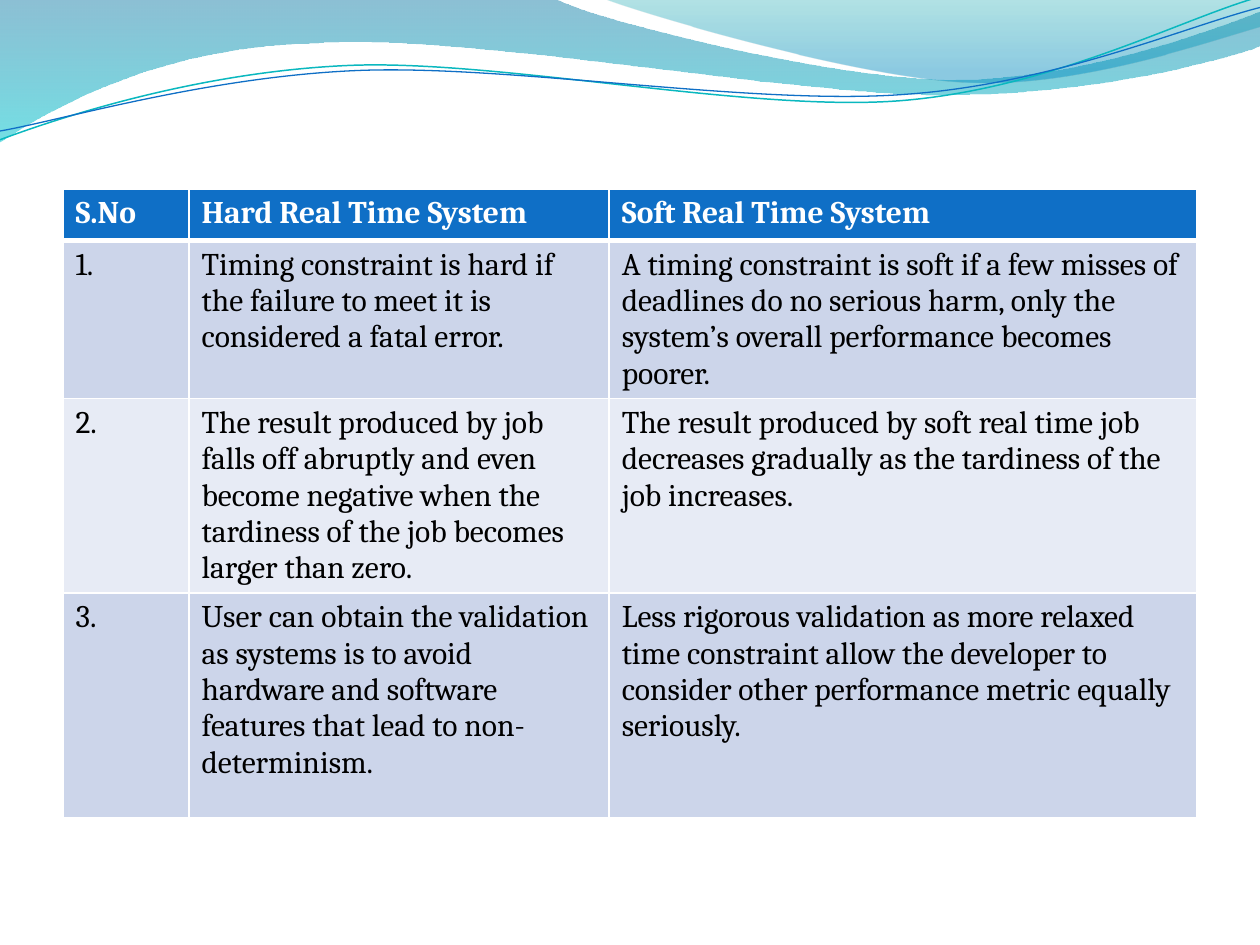
import math
import pptx
import pptx.util
import pptx.dml.color
import pptx.oxml
import pptx.oxml.ns

INCH = 2.54   # wave points are in inches
GRID = 1000   # local freeform units per inch
TILT = -2.7   # turn of the two thin curves, in degrees

# Each wave: a start point, then line ends (2 values) or curves (6 values)
BACK = [(0, 0), (4.4, -0.01), (4.76, 0.17, 6.64, 0.63, 7.58, 0.63),
        (8.53, 0.63, 9.58, 0.26, 10, 0.09), (10.01, 0.36),
        (9.83, 0.44, 8.7, 0.76, 7.46, 0.75),
        (6.22, 0.75, 3.82, 0.28, 2.57, 0.34),
        (1.29, 0.36, 0.46, 0.83, -0.01, 1.13), (0, 0)]
FRONT = [(4.79, -0.01), (5.09, 0.11, 6.82, 0.62, 7.69, 0.65),
         (8.56, 0.69, 9.61, 0.32, 10, 0.21), (10, 0), (4.79, -0.01)]
TEAL = [(0, 1.11), (0.48, 0.93, 1.58, 0.57, 2.77, 0.52),
        (3.95, 0.47, 5.93, 0.89, 7.13, 0.8),
        (8.33, 0.71, 9.38, 0.15, 9.98, -0.02)]
BLUE = [(0, 1.04), (0.47, 0.96, 1.64, 0.61, 2.83, 0.56),
        (4.03, 0.51, 5.97, 0.84, 7.17, 0.75),
        (8.36, 0.67, 9.41, 0.21, 10, 0.06)]

ROWS = [
    ("S.No", "Hard Real Time System", "Soft Real Time System"),
    ("1.",
     "Timing constraint is hard if the failure to meet it is considered "
     "a fatal error.",
     "A timing constraint is soft if a few misses of deadlines do no serious "
     "harm, only the system’s overall performance becomes poorer."),
    ("2.",
     "The result produced by job falls off abruptly and even become negative "
     "when the tardiness of the job becomes larger than zero.",
     "The result produced by soft real time job decreases gradually as the "
     "tardiness of the job increases."),
    ("3.",
     "User can obtain the validation as systems is to avoid hardware and "
     "software features that lead to non-determinism.",
     "Less rigorous validation as more relaxed time constraint allow the "
     "developer to consider other performance metric equally seriously."),
]
WIDTHS = [2.54, 8.47, 11.85]
HEIGHTS = [1.04, 1.04, 1.04, 4.52]  # the middle rows grow with their text


def color(code):
    return pptx.dml.color.RGBColor.from_string(code)


def turn(part, mid, angle):
    """Turn the points of one path part about mid."""
    cos, sin = math.cos(math.radians(angle)), math.sin(math.radians(angle))
    flat = []
    for x, y in zip(part[::2], part[1::2]):
        x, y = x - mid[0], y - mid[1]
        flat += [mid[0] + x * cos - y * sin, mid[1] + x * sin + y * cos]
    return flat


def draw(shapes, path, close):
    """Build a freeform, then join each three curve points into one curve."""
    pts = [(round(x * GRID), round(y * GRID))
           for part in path for x, y in zip(part[::2], part[1::2])]
    form = shapes.build_freeform(*pts[0], scale=pptx.util.Cm(INCH) / GRID)
    form.add_line_segments(pts[1:], close=close)
    shape = form.convert_to_shape()
    shape.shadow.inherit = False
    qn = pptx.oxml.ns.qn
    lines = iter(list(shape.element.iter(qn("a:lnTo"))))
    for part in path[1:]:
        line = next(lines)
        if len(part) == 6:
            curve = line.makeelement(qn("a:cubicBezTo"), {})
            line.addprevious(curve)
            for item in (line, next(lines), next(lines)):
                curve.append(item[0])
                item.getparent().remove(item)
    return shape


def add_wave(shapes, path, stops):
    """Filled wave; stops are (position, colour, opacity in percent)."""
    shape = draw(shapes, path, True)
    shape.line.fill.background()
    shape.fill.gradient()
    shape.fill.gradient_angle = 270  # runs from top to bottom
    for stop, (pos, code, alpha) in zip(shape.fill.gradient_stops, stops):
        stop.position = pos
        stop.color.rgb = color(code)
    qn = pptx.oxml.ns.qn
    tags = list(shape.element.spPr.iter(qn("a:srgbClr")))
    for tag, (pos, code, alpha) in zip(tags, stops):
        tag.append(tag.makeelement(qn("a:alpha"), {"val": str(alpha * 1000)}))


def add_curve(shapes, path, mid, code, width):
    """Thin curve, drawn level and then tilted."""
    shape = draw(shapes, [turn(part, mid, -TILT) for part in path], False)
    shape.rotation = TILT
    shape.fill.background()
    shape.line.color.rgb = color(code)
    shape.line.width = pptx.util.Pt(width)


def add_edge(cell, side, width):
    cell._tc.get_or_add_tcPr().append(pptx.oxml.parse_xml(
        f'<a:ln{side} {pptx.oxml.ns.nsdecls("a")} w="{pptx.util.Pt(width)}">'
        '<a:solidFill><a:srgbClr val="FFFFFF"/></a:solidFill>'
        f'</a:ln{side}>'))


def fill_cell(cell, text, row):
    head = row == 0
    for side in "LRTB":
        thick = (head and side == "B") or (row == 1 and side == "T")
        add_edge(cell, side, 3 if thick else 1)
    cell.fill.solid()
    band = "CCD5EA" if row % 2 else "E7EBF5"
    cell.fill.fore_color.rgb = color("0F6FC6" if head else band)
    cell.text_frame.text = text
    font = cell.text_frame.paragraphs[0].runs[0].font
    font.name = "Cambria"
    font.size = pptx.util.Pt(18)
    font.bold = head
    font.color.rgb = color("FFFFFF" if head else "000000")


def add_grid(shapes):
    cm = pptx.util.Cm
    frame = shapes.add_table(len(ROWS), len(WIDTHS), cm(1.27), cm(3.81),
                             cm(sum(WIDTHS)), cm(sum(HEIGHTS)))
    table = frame.table
    for col, width in zip(table.columns, WIDTHS):
        col.width = cm(width)
    for i, texts in enumerate(ROWS):
        table.rows[i].height = cm(HEIGHTS[i])
        for j, text in enumerate(texts):
            fill_cell(table.cell(i, j), text, i)
    frame.height = cm(12.9)


def main():
    deck = pptx.Presentation()
    deck.slide_width = pptx.util.Cm(25.4)
    deck.slide_height = pptx.util.Cm(19.05)
    shapes = deck.slides.add_slide(deck.slide_layouts[6]).shapes

    # Waves along the top
    add_wave(shapes, BACK, [(0, "0074A1", 45), (1, "00C6CF", 55)])
    add_wave(shapes, FRONT, [(0, "00A1A9", 30), (0.8, "008BBF", 45)])

    # Pair of thin curves
    pair = shapes.add_group_shape().shapes
    add_curve(pair, TEAL, (4.99, 0.57), "0AB8BF", 0.85)
    add_curve(pair, BLUE, (5, 0.59), "0F6FC6", 0.75)

    # Comparison table
    add_grid(shapes)
    deck.save("out.pptx")


if __name__ == "__main__":
    main()
